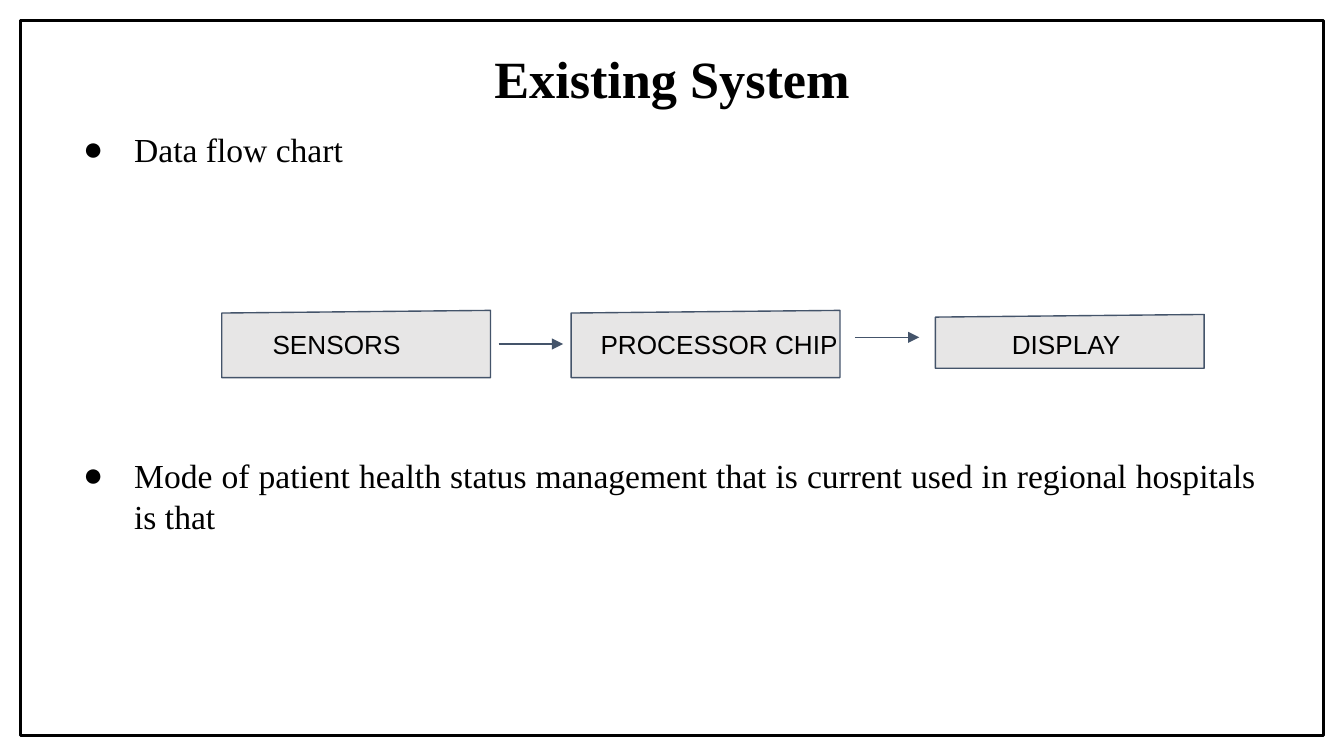
from pptx import Presentation, util as u
from pptx.dml.color import RGBColor
from pptx.enum import shapes as sh, text as tx
from pptx.oxml.ns import qn
from lxml import etree

theme = {
    "ink": RGBColor(0, 0, 0),
    "edge": RGBColor(0x44, 0x54, 0x6A),
    "fill": RGBColor(0xE7, 0xE6, 0xE6),
    "serif": "Times New Roman",
    "sans": "Arial",
    "head": u.Pt(28),
    "body": u.Pt(18),
    "label": u.Pt(14),
}


def style(par, face, size, bold=False):
    """Set the font of a paragraph's runs."""
    for run in par.runs:
        for key, val in {"name": face, "size": size, "bold": bold}.items():
            setattr(run.font, key, val)
        run.font.color.rgb = theme["ink"]


def frame(shape, pad):
    """Wrap the text and set its insets."""
    area = shape.text_frame
    vals = {"word_wrap": True, "margin_left": u.Inches(0.1),
            "margin_right": u.Inches(0.1), "margin_top": u.Inches(pad),
            "margin_bottom": u.Inches(pad)}
    for key, val in vals.items():
        setattr(area, key, val)
    return area


# Widescreen page, 16 to 9
deck = Presentation()
deck.slide_width, deck.slide_height = u.Inches(10), u.Inches(10 * 9 / 16)
slide = deck.slides.add_slide(deck.slide_layouts[5])
parts = slide.shapes

# Page border
border = parts.add_shape(sh.MSO_SHAPE.RECTANGLE, u.Inches(0.15), u.Inches(0.15),
                         u.Inches(9.7), u.Inches(5.32))
border.shadow.inherit = False
border.fill.background()
border.line.color.rgb = theme["ink"]
border.line.width = u.Pt(1.5)

# Title
title = parts.title
place = {"left": 0.28, "top": 0.3, "width": 9.44, "height": 0.61}
for key, val in place.items():
    setattr(title, key, u.Inches(val))
area = frame(title, 0.05)
area.vertical_anchor = tx.MSO_ANCHOR.MIDDLE
area.text = "Existing System"
par = area.paragraphs[0]
par.alignment, par.line_spacing = tx.PP_ALIGN.CENTER, 0.9
style(par, theme["serif"], theme["head"], True)

# Bullets, with room for the flow chart between them
body = parts.add_textbox(u.Inches(0.4), u.Inches(0.91), u.Inches(9.05), u.Inches(4.32))
area = frame(body, 0.05)
points = [
    ("Data flow chart", 7.5),
    ("Mode of patient health status management that is current used in "
     "regional hospitals is that", 153.3),
]
for num, (words, gap) in enumerate(points):
    par = area.add_paragraph() if num else area.paragraphs[0]
    par.text = words
    par.alignment, par.space_before = tx.PP_ALIGN.JUSTIFY, u.Pt(gap)
    style(par, theme["serif"], theme["body"])
    props = par._p.get_or_add_pPr()
    props.set("marL", str(u.Inches(0.5)))
    props.set("indent", str(u.Inches(-0.38)))
    etree.SubElement(props, qn("a:buFont")).set("typeface", theme["serif"])
    etree.SubElement(props, qn("a:buChar")).set("char", "●")

# Flow chart boxes with a slanted top edge: left, top, height, label, label left
wide, slant = 2, 0.02
boxes = [
    (1.65, 2.31, 0.5, "SENSORS", 1.93),
    (4.25, 2.31, 0.5, "PROCESSOR CHIP", 4.37),
    (6.96, 2.34, 0.4, "DISPLAY", 7.43),
]
for left, top, high, words, start in boxes:
    base, right = top + high, left + wide
    pen = parts.build_freeform(u.Inches(left), u.Inches(top + slant))
    pen.add_line_segments([(u.Inches(x), u.Inches(y)) for x, y in
                           ((left, base), (right, base), (right, top))])
    box = pen.convert_to_shape()
    box.shadow.inherit = False
    box.fill.solid()
    box.fill.fore_color.rgb = theme["fill"]
    box.line.color.rgb = theme["edge"]
    box.line.width = u.Pt(0.75)

    label = parts.add_textbox(u.Inches(start), u.Inches(2.34), u.Inches(2), u.Inches(0.44))
    area = frame(label, 0.1)
    area.auto_size = tx.MSO_AUTO_SIZE.SHAPE_TO_FIT_TEXT
    area.text = words
    style(area.paragraphs[0], theme["sans"], theme["label"])

# Arrows between the boxes
for left, level in ((3.71, 2.56), (6.36, 2.51)):
    arrow = parts.add_connector(sh.MSO_CONNECTOR.STRAIGHT, u.Inches(left), u.Inches(level),
                                u.Inches(left + 0.48), u.Inches(level))
    arrow.line.color.rgb = theme["edge"]
    arrow.line.width = u.Pt(0.75)
    etree.SubElement(arrow.line._get_or_add_ln(), qn("a:tailEnd")).set("type", "triangle")
    etree.SubElement(arrow._element.spPr, qn("a:effectLst"))

deck.save("out.pptx")
